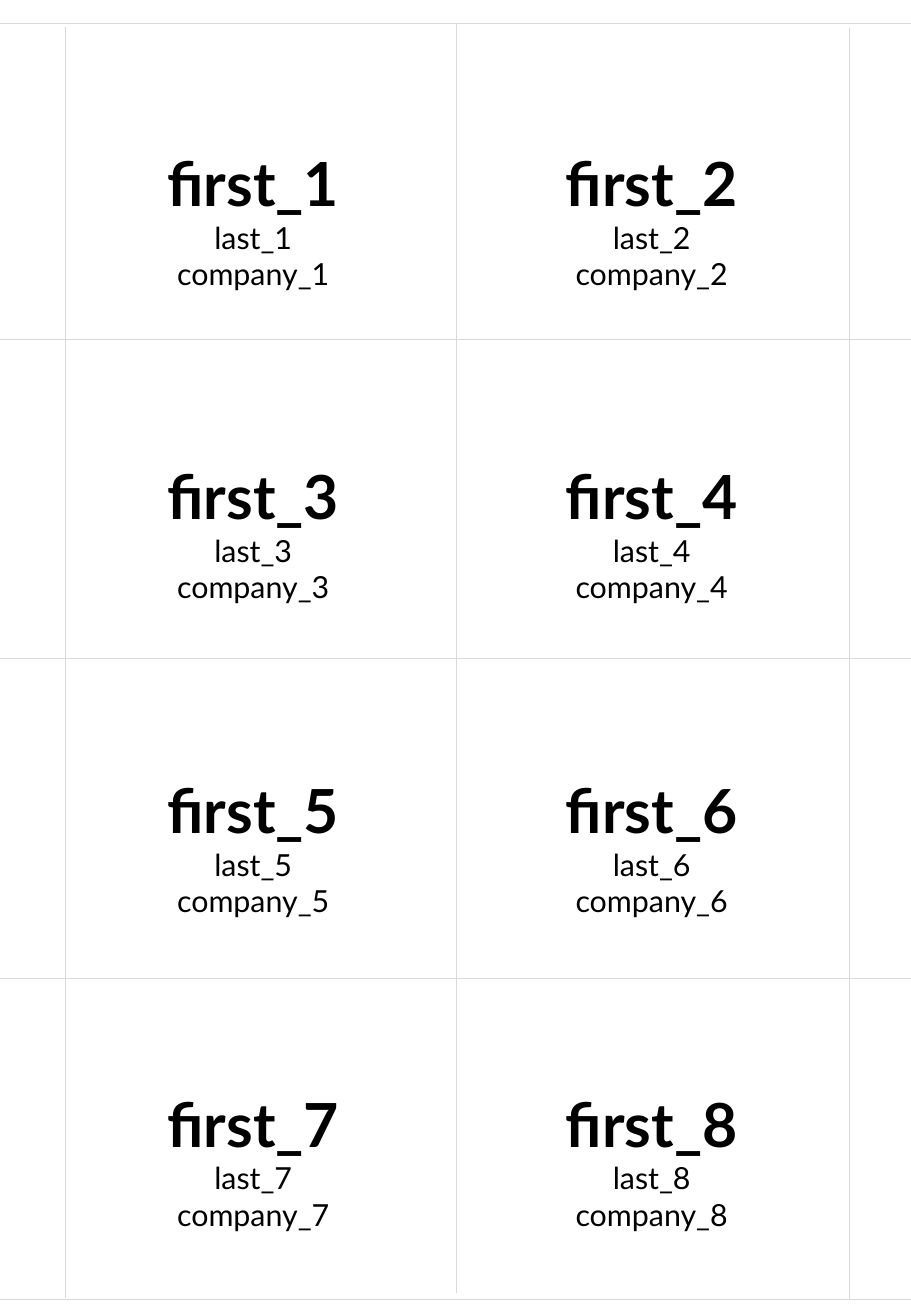
from lxml import etree
from pptx import Presentation
from pptx.dml.color import RGBColor
from pptx.enum.shapes import MSO_CONNECTOR
from pptx.enum.text import MSO_AUTO_SIZE, PP_ALIGN
from pptx.oxml.ns import qn
from pptx.util import Inches, Pt

BLACK = RGBColor(0x00, 0x00, 0x00)
CUT_GREY = RGBColor(0xD9, 0xD9, 0xD9)

PAGE_WIDTH, PAGE_HEIGHT = 7.5, 10.83
COLUMNS, ROWS = 2, 4
BADGE_LEFT, BADGE_TOP = 0.51, 1.15
BADGE_WIDTH, BADGE_HEIGHT = 3.15, 1.31
COLUMN_STEP, ROW_STEP = 3.28, 2.58

ROW_CUTS = (0.19, 2.79, 5.42, 8.05, 10.69)
COLUMN_CUTS = ((0.54, 0.22, 10.68), (3.76, 0.19, 10.64), (6.99, 0.23, 10.69))


class BadgeSheet:
    FIRST_NAME = {"name": "Lato", "size": Pt(36), "bold": True}
    DETAIL = {"name": "Lato", "size": Pt(18), "bold": False}

    def __init__(self, slide):
        self.slide = slide

    def cut_line(self, x1, y1, x2, y2):
        cut = self.slide.shapes.add_connector(
            MSO_CONNECTOR.STRAIGHT, Inches(x1), Inches(y1), Inches(x2), Inches(y2))
        cut.line.color.rgb = CUT_GREY
        cut.line.width = Pt(0.5)
        etree.SubElement(cut._element.spPr, qn("a:effectLst"))

    def badge(self, left, top, number):
        label = self.slide.shapes.add_textbox(
            Inches(left), Inches(top), Inches(BADGE_WIDTH), Inches(BADGE_HEIGHT))
        frame = label.text_frame
        frame.word_wrap = True
        frame.auto_size = MSO_AUTO_SIZE.SHAPE_TO_FIT_TEXT
        frame.text = f"first_{number}\nlast_{number}\ncompany_{number}"
        styles = (self.FIRST_NAME, self.DETAIL, self.DETAIL)
        for paragraph, style in zip(frame.paragraphs, styles):
            paragraph.alignment = PP_ALIGN.CENTER
            font = paragraph.runs[0].font
            for attribute, value in style.items():
                setattr(font, attribute, value)
            font.color.rgb = BLACK


def main():
    deck = Presentation()
    deck.slide_width, deck.slide_height = Inches(PAGE_WIDTH), Inches(PAGE_HEIGHT)
    blank_layout = deck.slide_layouts[6]
    sheet = BadgeSheet(deck.slides.add_slide(blank_layout))

    for y in ROW_CUTS:
        sheet.cut_line(0, y, PAGE_WIDTH, y)
    for x, top, bottom in COLUMN_CUTS:
        sheet.cut_line(x, top, x, bottom)

    for index in range(ROWS * COLUMNS):
        row, column = divmod(index, COLUMNS)
        sheet.badge(BADGE_LEFT + column * COLUMN_STEP,
                    BADGE_TOP + row * ROW_STEP, index + 1)

    deck.save("out.pptx")


if __name__ == "__main__":
    main()
